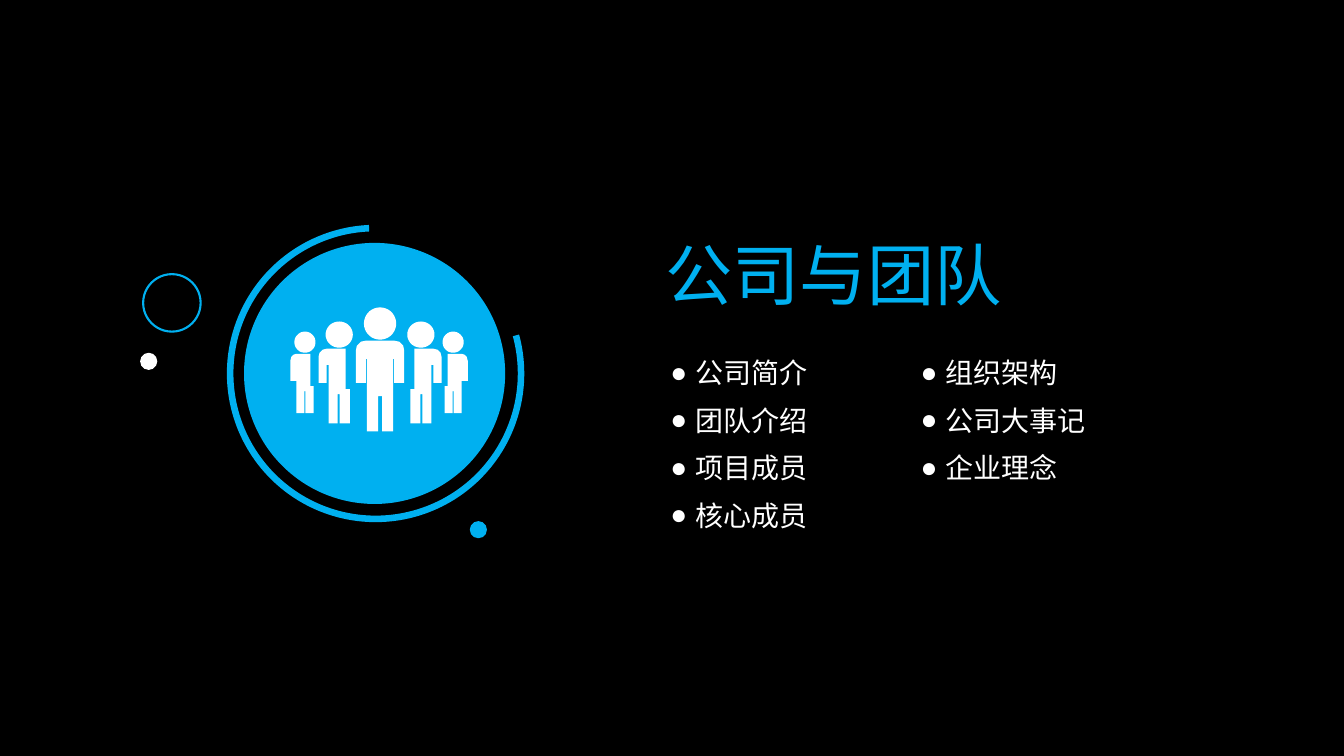
import dataclasses
import math
import typing

import pptx
import pptx.dml.color
import pptx.enum.shapes
import pptx.enum.text
import pptx.oxml
import pptx.oxml.ns
import pptx.util

PX = pptx.util.Inches(0.01)
FINE = 10  # outline steps in one px
KIND = pptx.enum.shapes.MSO_SHAPE
Box = tuple[int, int, int, int]
Point = tuple[float, float]


@dataclasses.dataclass(frozen=True)
class Theme:
    back: str = "000000"
    blue: str = "00B0F0"
    white: str = "FFFFFF"
    font: str = "Noto Sans CJK SC"
    title: int = 48
    item: int = 20


@dataclasses.dataclass(frozen=True)
class Disc:
    box: Box
    fill: typing.Optional[str] = None
    line: typing.Optional[str] = None


@dataclasses.dataclass(frozen=True)
class Person:
    head: Box
    body: tuple[Point, ...]
    span: int = 0  # left x plus mirrored x; 0 means no twin


@dataclasses.dataclass(frozen=True)
class Column:
    left: int
    items: tuple[str, ...]


THEME = Theme()

DISCS = (
    Disc((242, 241, 259, 259), fill=THEME.blue),
    Disc((142, 272, 57, 57), line=THEME.blue),
    Disc((139, 350, 17, 17), fill=THEME.white),
    Disc((466, 517, 17, 17), fill=THEME.blue),
)

PEOPLE = (
    Person((292, 329, 21, 21), (
        (311, 383), (311, 410), (303, 410), (303, 388), (302, 388),
        (302, 410), (294, 410), (294, 378), (288, 378), (288, 358),
        (289, 354), (291, 352), (294, 351), (308, 351), (308, 383)), 752),
    Person((323, 319, 27, 26), (
        (347, 386), (347, 420), (337, 420), (337, 391), (335, 391),
        (335, 420), (326, 420), (326, 362), (324, 362), (324, 380),
        (316, 380), (316, 354), (317, 350), (320, 347), (324, 346),
        (343, 346), (343, 386)), 754),
    Person((361, 305, 32, 32), (
        (391, 380), (391, 356), (390, 356), (390, 428), (379, 428),
        (379, 393), (375, 393), (375, 428), (364, 428), (364, 356),
        (363, 356), (363, 380), (353, 380), (353, 348), (354, 343),
        (358, 339), (363, 338), (391, 338), (396, 339), (400, 343),
        (401, 348), (401, 380))),
)

COLUMNS = (
    Column(665, ("公司简介", "团队介绍", "项目成员", "核心成员")),
    Column(913, ("组织架构", "公司大事记", "企业理念")),
)


def rgb(code: str) -> pptx.dml.color.RGBColor:
    return pptx.dml.color.RGBColor.from_string(code)


def place(shape: typing.Any, box: Box) -> None:
    shape.left, shape.top, shape.width, shape.height = (n * PX for n in box)


def paint(shape: typing.Any, fill: typing.Optional[str] = None,
          line: typing.Optional[str] = None) -> None:
    shape.shadow.inherit = False
    if fill:
        shape.fill.solid()
        shape.fill.fore_color.rgb = rgb(fill)
    else:
        shape.fill.background()
    if line:
        shape.line.color.rgb = rgb(line)
        shape.line.width = pptx.util.Pt(1.5)
    else:
        shape.line.fill.background()


def draw_disc(slide: typing.Any, disc: Disc) -> None:
    shape = slide.shapes.add_shape(KIND.OVAL, *(n * PX for n in disc.box))
    paint(shape, disc.fill, disc.line)


def draw_arc(slide: typing.Any, box: Box) -> None:
    arc = slide.shapes.add_shape(KIND.BLOCK_ARC, *(n * PX for n in box))
    for i, value in enumerate((108, 61.584, 0.022)):
        arc.adjustments[i] = value
    arc.rotation = 164.8
    paint(arc, THEME.blue)


def mirror(person: Person) -> Person:
    x, y, w, h = person.head
    body = tuple((person.span - px, py) for px, py in person.body)
    return Person((person.span - x - w, y, w, h), body)


def trace_oval(box: Box, count: int = 36) -> tuple[Point, ...]:
    x, y, w, h = box
    turns = (math.tau * i / count for i in range(count))
    return tuple((x + w / 2 * (1 + math.cos(t)), y + h / 2 * (1 + math.sin(t)))
                 for t in turns)


def draw_team(slide: typing.Any, people: typing.Sequence[Person]) -> None:
    """Draw all heads and bodies as one outline."""
    twins = [mirror(person) for person in people if person.span]
    loops = [[(x * FINE, y * FINE) for x, y in loop]
             for person in (*people, *twins)
             for loop in (trace_oval(person.head), person.body)]
    pen = slide.shapes.build_freeform(*loops[0][0], scale=PX / FINE)
    for i, loop in enumerate(loops):
        if i:
            pen.move_to(*loop[0])
        pen.add_line_segments(loop[1:], close=True)
    paint(pen.convert_to_shape(), THEME.white)


def add_bullet(para: typing.Any) -> None:
    props = para._p.get_or_add_pPr()
    props.set("marL", str(25 * PX))
    props.set("indent", str(-25 * PX))
    mark = pptx.oxml.parse_xml(
        f'<a:buChar {pptx.oxml.ns.nsdecls("a")} char="●"/>')
    props.append(mark)


def write(holder: typing.Any, *lines: str, size: int, color: str,
          inset: int = 0, gap: float = 0, bullet: bool = False,
          anchor: typing.Any = pptx.enum.text.MSO_ANCHOR.TOP) -> None:
    frame = holder.text_frame
    frame.word_wrap = True
    frame.auto_size = pptx.enum.text.MSO_AUTO_SIZE.NONE
    frame.vertical_anchor = anchor
    frame.margin_left = frame.margin_right = inset * PX
    frame.margin_top = frame.margin_bottom = 0
    for i, line in enumerate(lines):
        para = frame.add_paragraph() if i else frame.paragraphs[0]
        if bullet:
            add_bullet(para)
        para.alignment = pptx.enum.text.PP_ALIGN.LEFT
        para.space_before = pptx.util.Pt(gap if i else 0)
        run = para.add_run()
        run.text = line
        run.font.name = THEME.font
        run.font.size = pptx.util.Pt(size)
        run.font.color.rgb = rgb(color)
        east = pptx.oxml.parse_xml(
            f'<a:ea {pptx.oxml.ns.nsdecls("a")} typeface="{THEME.font}"/>')
        run.font._element.append(east)


def main() -> None:
    deck = pptx.Presentation()
    deck.slide_width, deck.slide_height = 1333 * PX, 750 * PX
    slide = deck.slides.add_slide(deck.slide_layouts.get_by_name("Two Content"))
    slide.background.fill.solid()
    slide.background.fill.fore_color.rgb = rgb(THEME.back)

    draw_arc(slide, (225, 223, 295, 295))
    for disc in DISCS:
        draw_disc(slide, disc)
    draw_team(slide, PEOPLE)

    title, *lists = slide.placeholders
    place(title, (650, 226, 357, 91))
    write(title, "公司与团队", size=THEME.title, color=THEME.blue, inset=10,
          anchor=pptx.enum.text.MSO_ANCHOR.MIDDLE)
    for holder, column in zip(lists, COLUMNS):
        place(holder, (column.left, 353, 293, 47 * len(column.items)))
        write(holder, *column.items, size=THEME.item, color=THEME.white,
              gap=9.9, bullet=True)
    deck.save("out.pptx")


if __name__ == "__main__":
    main()
